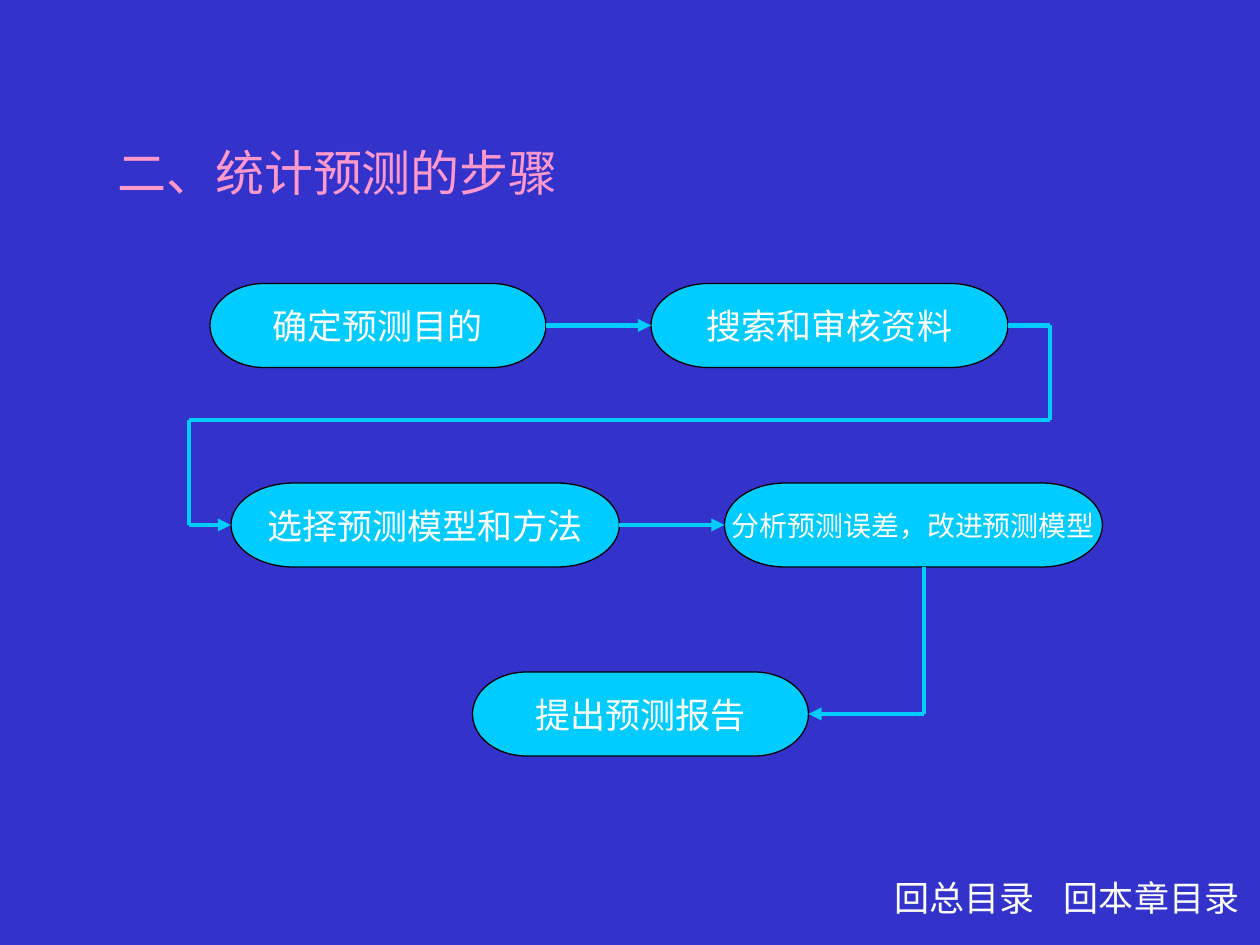
import pptx
import pptx.util
import pptx.dml.color
import pptx.enum.shapes
import pptx.enum.text
import pptx.oxml.ns
import lxml.etree
from dataclasses import dataclass

Pt = pptx.util.Pt
Align = pptx.enum.text.PP_ALIGN


@dataclass(frozen=True)
class Theme:
    back: str = "3333CC"
    fill: str = "00CCFF"
    edge: str = "000000"
    text: str = "FFFFFF"
    title: str = "FF99CC"
    font: str = "Times New Roman"
    head: int = 28
    body: int = 20
    small: int = 16


def color(code):
    return pptx.dml.color.RGBColor.from_string(code)


def child(parent, tag, **attrs):
    return lxml.etree.SubElement(parent, pptx.oxml.ns.qn(tag), **attrs)


class Chart:
    """Draws the elements of one slide in one theme."""

    def __init__(self, slide, theme):
        self.slide = slide
        self.theme = theme
        paint = slide.background.fill
        paint.solid()
        paint.fore_color.rgb = color(theme.back)

    def letter(self, frame, text, size, tint, align):
        """Puts one styled paragraph in the frame and returns it."""
        frame.text = text
        para = frame.paragraphs[0]
        para.alignment = align
        font = para.runs[0].font
        font.name = self.theme.font
        font.size = Pt(size)
        font.color.rgb = color(tint)
        return para

    def step(self, text, left, top, width, height, size):
        kind = pptx.enum.shapes.MSO_SHAPE.FLOWCHART_TERMINATOR
        shape = self.slide.shapes.add_shape(
            kind, Pt(left), Pt(top), Pt(width), Pt(height))
        shape.shadow.inherit = False
        shape.fill.solid()
        shape.fill.fore_color.rgb = color(self.theme.fill)
        shape.line.color.rgb = color(self.theme.edge)
        shape.line.width = Pt(0.75)
        frame = shape.text_frame
        frame.word_wrap = False
        frame.vertical_anchor = pptx.enum.text.MSO_ANCHOR.MIDDLE
        self.letter(frame, text, size, self.theme.text, Align.CENTER)

    def label(self, text, left, top, width, height, size, tint,
              align=Align.LEFT, inset=7.2, before=12.5, lead=0.9):
        box = self.slide.shapes.add_textbox(
            Pt(left), Pt(top), Pt(width), Pt(height))
        frame = box.text_frame
        frame.word_wrap = True
        frame.auto_size = pptx.enum.text.MSO_AUTO_SIZE.SHAPE_TO_FIT_TEXT
        frame.margin_left = frame.margin_right = Pt(inset)
        para = self.letter(frame, text, size, tint, align)
        para.space_before = Pt(before)
        para.line_spacing = lead

    def route(self, *points):
        """Joins the points with straight lines; the last has an arrowhead."""
        kind = pptx.enum.shapes.MSO_CONNECTOR.STRAIGHT
        for start, end in zip(points, points[1:]):
            link = self.slide.shapes.add_connector(
                kind, *(Pt(n) for n in start + end))
            link.line.color.rgb = color(self.theme.fill)
            link.line.width = Pt(2.5)
            props = link.element.spPr
            if end == points[-1]:
                line = props.find(pptx.oxml.ns.qn("a:ln"))
                child(line, "a:tailEnd", type="triangle")
            child(props, "a:effectLst")


def main():
    deck = pptx.Presentation()
    deck.slide_width, deck.slide_height = Pt(720), Pt(540)
    theme = Theme()
    chart = Chart(deck.slides.add_slide(deck.slide_layouts[6]), theme)

    high = 48
    rows = (162, 276, 384)
    one, two, three = (top + high / 2 for top in rows)
    steps = (
        ("确定预测目的", 120, rows[0], 192, theme.body),
        ("搜索和审核资料", 372, rows[0], 204, theme.body),
        ("选择预测模型和方法", 132, rows[1], 222, theme.body),
        ("分析预测误差，改进预测模型", 414, rows[1], 216, theme.small),
        ("提出预测报告", 270, rows[2], 192, theme.body),
    )
    for text, left, top, width, size in steps:
        chart.step(text, left, top, width, high, size)

    chart.label("二、统计预测的步骤", 60, 78, 402, 41, theme.head, theme.title,
                before=17.5, lead=1.0)

    near, far, bend, drop = 108, 600, 240, 528
    chart.route((312, one), (372, one))
    chart.route((576, one), (far, one), (far, bend), (near, bend),
                (near, two), (132, two))
    chart.route((354, two), (414, two))
    chart.route((drop, rows[1] + high), (drop, three), (462, three))

    chart.label("回总目录", 500, 500, 102, 29, theme.body, theme.text,
                Align.CENTER, inset=0)
    chart.label("回本章目录", 608, 500, 105, 29, theme.body, theme.text,
                inset=0)
    deck.save("out.pptx")


if __name__ == "__main__":
    main()
